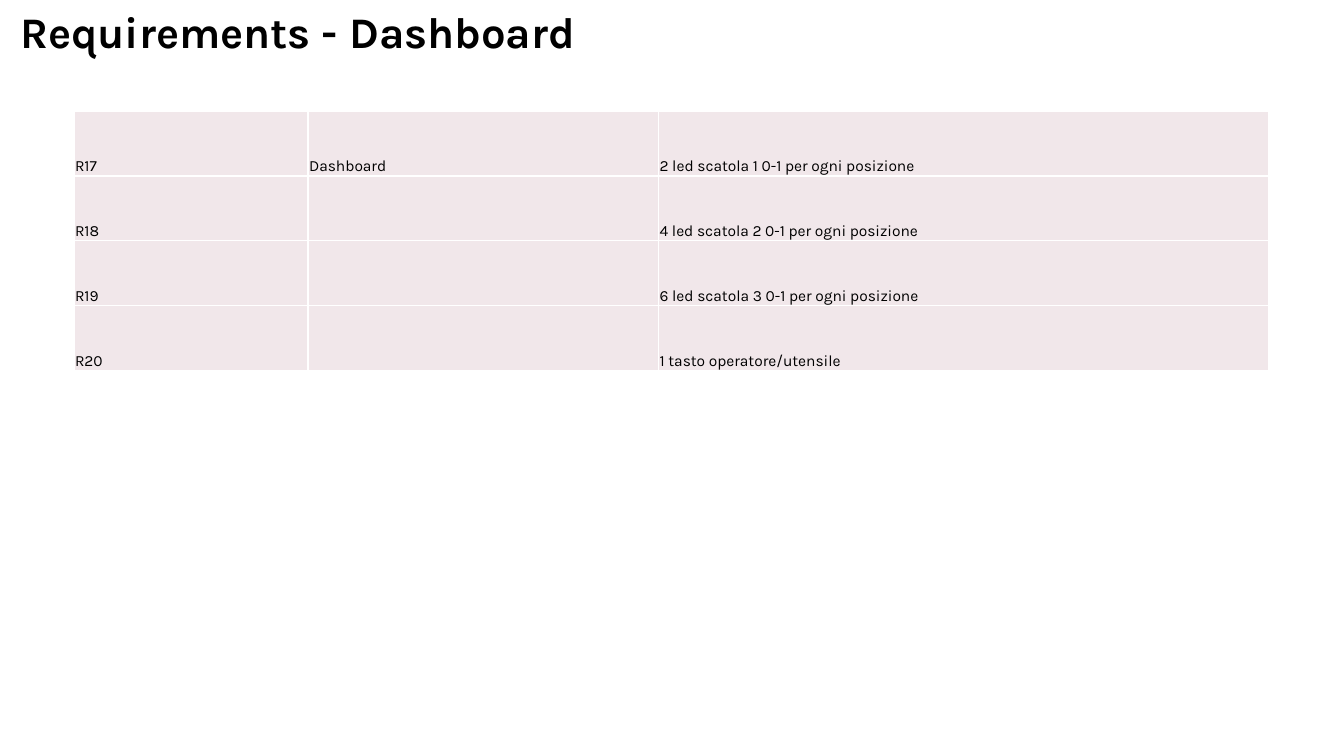
from dataclasses import dataclass

from lxml import etree
from pptx import Presentation
from pptx.dml.color import RGBColor
from pptx.enum import text
from pptx.oxml import ns
from pptx.util import Inches, Pt

FONT = "Karla"
BLACK = "000000"
WHITE = "FFFFFF"
ROW_FILL = "F1E7EA"
COLUMN_WIDTHS = (2.09, 3.13, 5.45)
ROW_HEIGHT = 0.58


@dataclass
class Requirement:
    code: str
    area: str
    description: str


REQUIREMENTS = [
    Requirement("R17", "Dashboard", "2 led scatola 1 0-1 per ogni posizione"),
    Requirement("R18", "", "4 led scatola 2 0-1 per ogni posizione"),
    Requirement("R19", "", "6 led scatola 3 0-1 per ogni posizione"),
    Requirement("R20", "", "1 tasto operatore/utensile"),
]


def paint(color_format, color: str) -> None:
    color_format.rgb = RGBColor.from_string(color)


def set_font(paragraph, size: float, bold: bool = False) -> None:
    font = paragraph.font
    font.name, font.size, font.bold = FONT, Pt(size), bold
    paint(font.color, BLACK)


def add_title(slide, words: str) -> None:
    title = slide.shapes.title
    title.left, title.top = Inches(0.18), Inches(0.1)
    title.width, title.height = Inches(11.43), Inches(0.42)
    frame = title.text_frame
    frame.text = words
    frame.margin_left = frame.margin_right = 0
    frame.margin_top = frame.margin_bottom = 0
    frame.auto_size = text.MSO_AUTO_SIZE.NONE
    frame.vertical_anchor = text.MSO_ANCHOR.MIDDLE
    paragraph = frame.paragraphs[0]
    paragraph.alignment = text.PP_ALIGN.LEFT
    paragraph.line_spacing = 0.89
    set_font(paragraph, 28, bold=True)


def set_borders(cell, color: str, width: float) -> None:
    properties = cell._tc.get_or_add_tcPr()
    for position, side in enumerate(("lnL", "lnR", "lnT", "lnB")):
        line = etree.Element(ns.qn(f"a:{side}"), w=str(Pt(width)))
        fill = etree.SubElement(line, ns.qn("a:solidFill"))
        etree.SubElement(fill, ns.qn("a:srgbClr"), val=color)
        properties.insert(position, line)


def fill_cell(cell, words: str) -> None:
    cell.fill.solid()
    paint(cell.fill.fore_color, ROW_FILL)
    set_borders(cell, WHITE, 1)
    cell.margin_left = cell.margin_right = cell.margin_top = Inches(0.01)
    cell.margin_bottom = 0
    cell.vertical_anchor = text.MSO_ANCHOR.BOTTOM
    cell.text = words
    set_font(cell.text_frame.paragraphs[0], 10)


def add_requirements(slide, requirements: list[Requirement]) -> None:
    count = len(requirements)
    table = slide.shapes.add_table(
        count, len(COLUMN_WIDTHS), Inches(0.66), Inches(0.99),
        Inches(sum(COLUMN_WIDTHS)), Inches(ROW_HEIGHT * count),
    ).table
    table.first_row = table.horz_banding = False
    for column, width in zip(table.columns, COLUMN_WIDTHS):
        column.width = Inches(width)
    for row, requirement in zip(table.rows, requirements):
        row.height = Inches(ROW_HEIGHT)
        values = (requirement.code, requirement.area, requirement.description)
        for cell, words in zip(row.cells, values):
            fill_cell(cell, words)


def main() -> None:
    presentation = Presentation()
    presentation.slide_width = Inches(12)
    presentation.slide_height = Inches(6.75)
    slide = presentation.slides.add_slide(presentation.slide_layouts[5])
    add_title(slide, "Requirements - Dashboard")
    add_requirements(slide, REQUIREMENTS)
    presentation.save("out.pptx")


if __name__ == "__main__":
    main()
